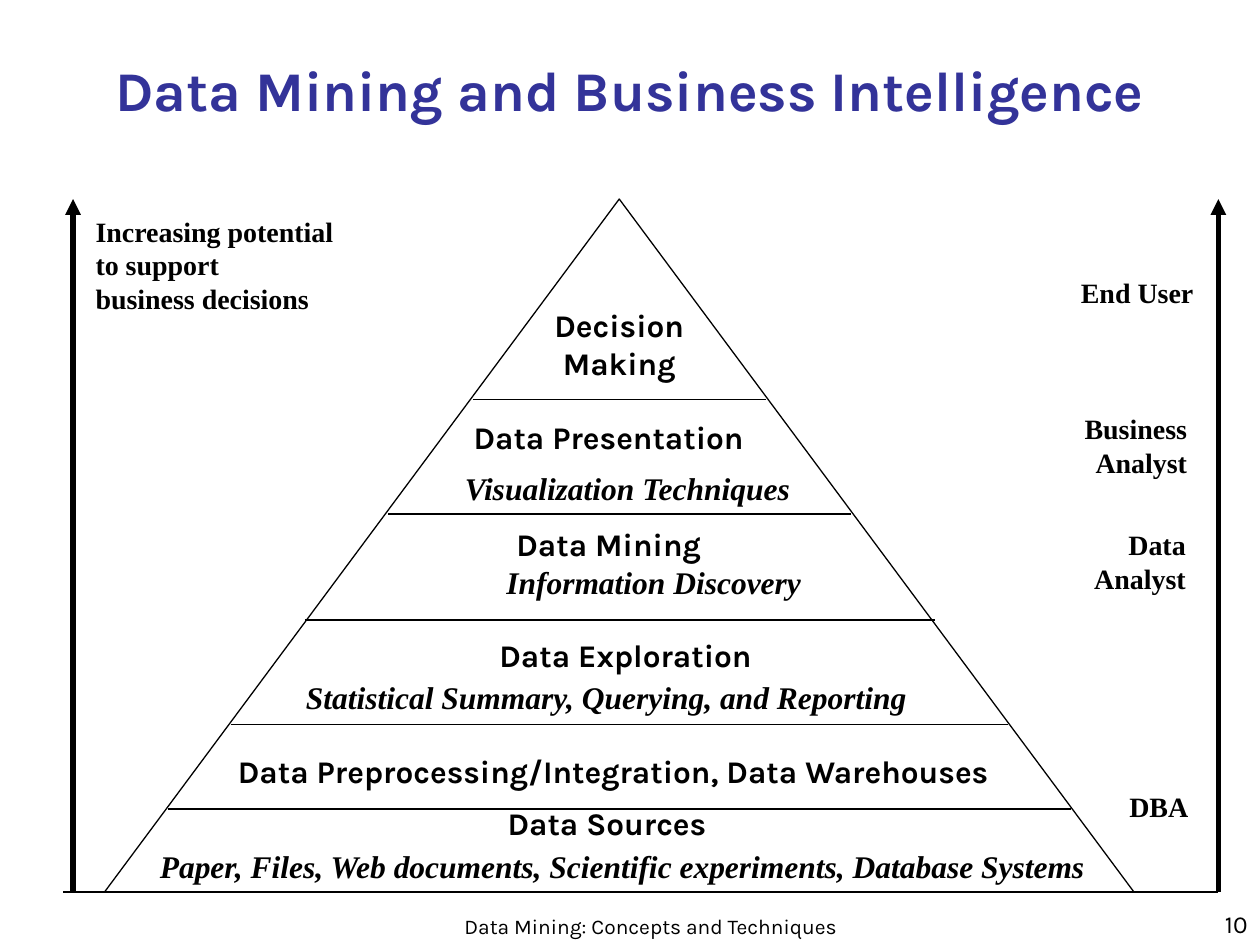
from lxml import etree
from pptx import Presentation
from pptx.dml.color import RGBColor
from pptx.enum.shapes import MSO_CONNECTOR, MSO_SHAPE
from pptx.enum.text import MSO_ANCHOR, PP_ALIGN
from pptx.oxml.ns import qn
from pptx.util import Inches, Pt

LEFT, CENTER, RIGHT = PP_ALIGN.LEFT, PP_ALIGN.CENTER, PP_ALIGN.RIGHT
TOP, MIDDLE, BOTTOM = MSO_ANCHOR.TOP, MSO_ANCHOR.MIDDLE, MSO_ANCHOR.BOTTOM
STRAIGHT = MSO_CONNECTOR.STRAIGHT
COLORS = {"title": "333399", "ink": "000000"}
SANS, SERIF = "Karla", "Times New Roman"
APEX_Y, BASE_Y = 1.58, 7.08

presentation = Presentation()
presentation.slide_width, presentation.slide_height = Inches(10), Inches(7.5)
slide = presentation.slides.add_slide(presentation.slide_layouts[5])


def add_text(text, left, top, width, height, shape=None, font=SANS, size=18, bold=True,
             italic=False, color="ink", align=LEFT, anchor=TOP, wrap=True):
    """Write text, one paragraph per line, in the given shape or a new text box."""
    box = [Inches(value) for value in (left, top, width, height)]
    if shape is None:
        shape = slide.shapes.add_textbox(*box)
    else:
        shape.left, shape.top, shape.width, shape.height = box
    frame = shape.text_frame
    frame.text = text
    frame.word_wrap = wrap
    frame.vertical_anchor = anchor
    for paragraph in frame.paragraphs:
        paragraph.alignment = align
        for run in paragraph.runs:
            run.font.name = font
            run.font.size = Pt(size)
            run.font.bold = bold
            run.font.italic = italic
            run.font.color.rgb = RGBColor.from_string(COLORS[color])


def add_line(x1, y1, x2, y2, width=0.75, arrow=False):
    line = slide.shapes.add_connector(STRAIGHT, Inches(x1), Inches(y1), Inches(x2), Inches(y2))
    line.line.color.rgb = RGBColor.from_string(COLORS["ink"])
    line.line.width = Pt(width)
    properties = line._element.spPr
    if arrow:
        etree.SubElement(properties.find(qn("a:ln")), qn("a:tailEnd"), type="triangle")
    etree.SubElement(properties, qn("a:effectLst"))


add_text("Data Mining and Business Intelligence", 0.25, 0.42, 9.5, 0.58,
         shape=slide.shapes.title, size=32, color="title", align=CENTER, anchor=MIDDLE)

# Pyramid with its level dividers
pyramid = slide.shapes.add_shape(MSO_SHAPE.FLOWCHART_EXTRACT, Inches(0.83), Inches(APEX_Y),
                                 Inches(8.17), Inches(BASE_Y - APEX_Y))
pyramid.shadow.inherit = False
pyramid.fill.background()
pyramid.line.color.rgb = RGBColor.from_string(COLORS["ink"])
pyramid.line.width = Pt(0.75)

for start, end, y in [(1.33, 8.5, 6.42), (1.83, 8, 5.75), (2.42, 7.42, 4.92),
                      (3.08, 6.75, 4.08), (3.75, 6.08, 3.17), (0.5, 9.67, BASE_Y)]:
    add_line(start, y, end, y)

for x in (0.58, 9.67):
    add_line(x, BASE_Y, x, APEX_Y, width=3, arrow=True)

# Labels beside the arrows
add_text("Increasing potential\nto support\nbusiness decisions", 0.66, 1.65, 2.09, 0.9,
         font=SERIF, size=16, wrap=False)
for role, left, top, width, height in [
    ("End User", 8.48, 2.14, 1.09, 0.37),
    ("Business\nAnalyst", 8.48, 3.22, 1.04, 0.64),
    ("Data\nAnalyst", 8.58, 4.14, 0.93, 0.64),
    ("DBA", 8.86, 6.22, 0.67, 0.37),
]:
    add_text(role, left, top, width, height, font=SERIF, size=16, align=RIGHT, wrap=False)

# Level names, then their details
add_text("Decision Making", 4.25, 2.38, 1.33, 0.7, align=CENTER)
add_text("Data Exploration", 3.68, 5, 2.57, 0.4, align=CENTER)
for level, left, top, width in [
    ("Data Presentation", 3.66, 3.27, 2.48),
    ("Data Mining", 4, 4.12, 1.95),
    ("Data Preprocessing/Integration, Data Warehouses", 1.79, 5.92, 6.5),
    ("Data Sources", 3.93, 6.33, 1.83),
]:
    add_text(level, left, top, width, 0.4, wrap=False)
for detail, left, top, width in [
    ("Visualization Techniques", 3.59, 3.67, 2.82),
    ("Information Discovery", 3.92, 4.42, 2.54),
    ("Statistical Summary, Querying, and Reporting", 2.33, 5.33, 5),
    ("Paper, Files, Web documents, Scientific experiments, Database Systems",
     1.17, 6.67, 7.79),
]:
    add_text(detail, left, top, width, 0.4, font=SERIF, italic=True, wrap=False)

# Footer
add_text("Data Mining: Concepts and Techniques", 3.58, 7.08, 3.17, 0.42,
         size=12, bold=False, align=CENTER, anchor=BOTTOM)
add_text("10", 7.92, 7, 2.08, 0.5, size=14, bold=False, align=RIGHT, anchor=BOTTOM)

presentation.save("out.pptx")
